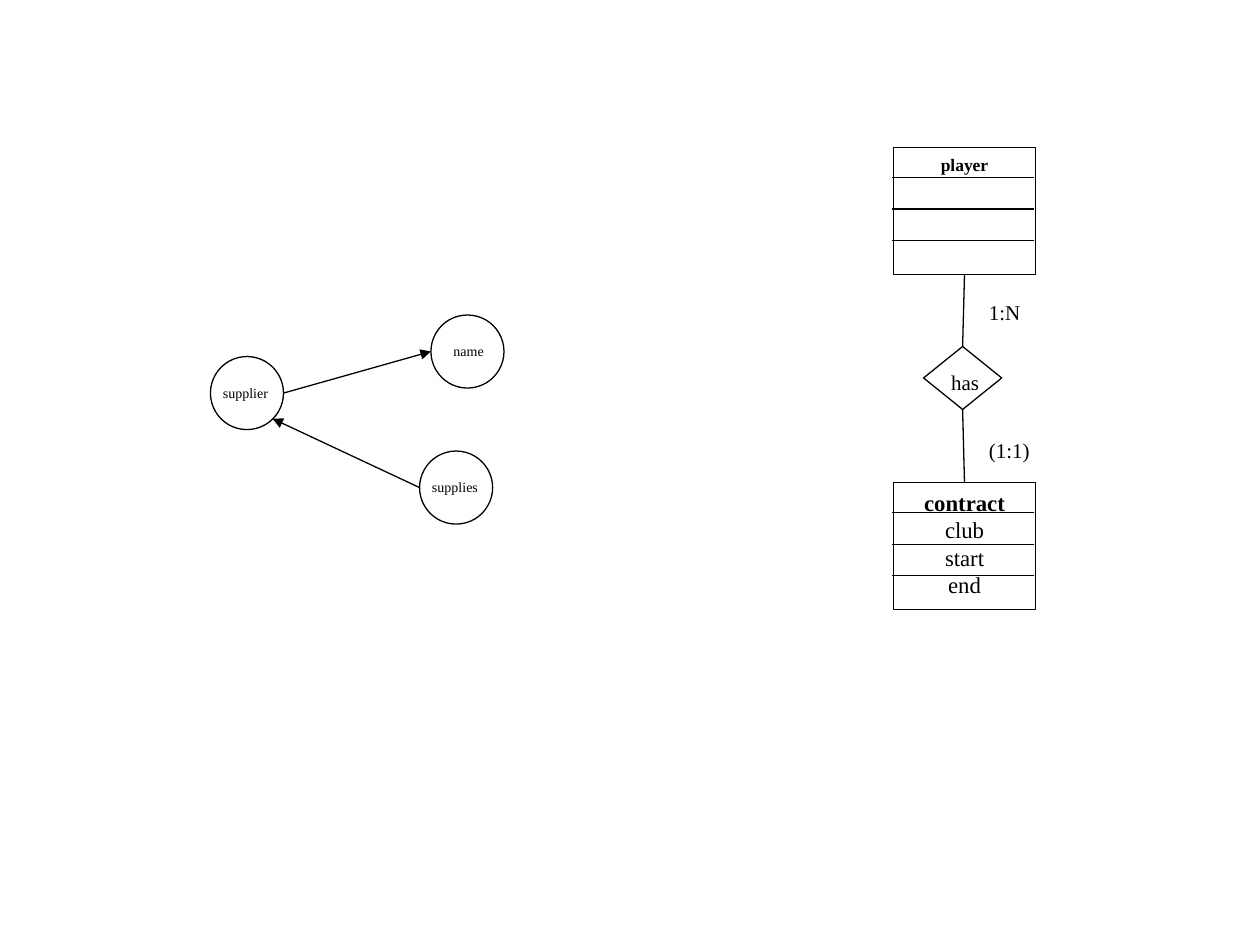
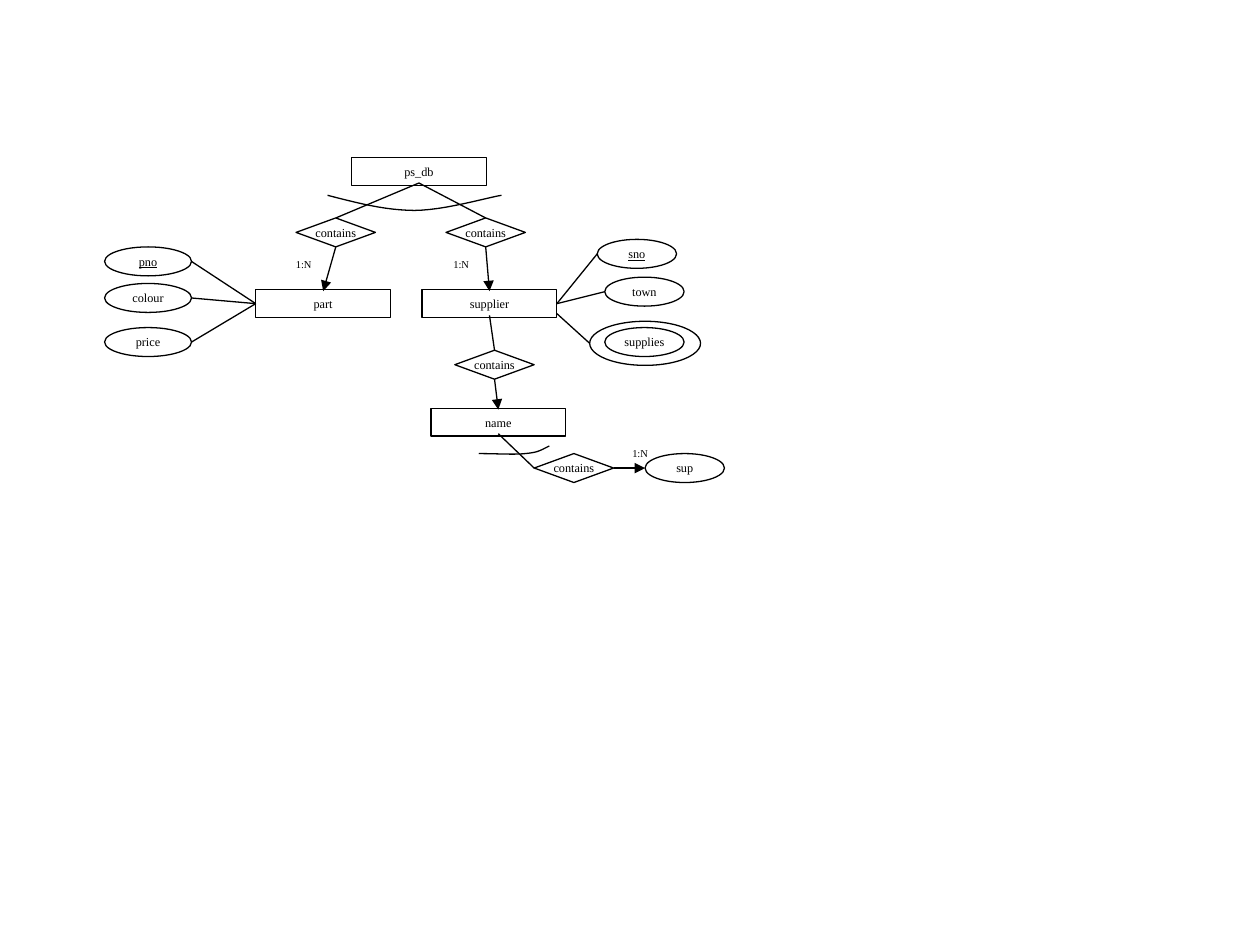
from pptx import Presentation
from pptx.dml.color import RGBColor
from pptx.enum import shapes, text
from pptx.oxml.ns import qn
from pptx.util import Inches, Pt
from lxml import etree

INK = "000000"
PAPER = "FFFFFF"
FONT = "Times New Roman"
RECT = shapes.MSO_SHAPE.RECTANGLE
OVAL = shapes.MSO_SHAPE.OVAL
DIAMOND = shapes.MSO_SHAPE.DIAMOND
DECISION = shapes.MSO_SHAPE.FLOWCHART_DECISION
CENTER = text.PP_ALIGN.CENTER
LEFT = text.PP_ALIGN.LEFT

TOP, BOTTOM = (0.5, 0), (0.5, 1)
WEST, EAST, SOUTH_EAST = (0, 0.5), (1, 0.5), (0.85, 0.85)
ENTITY_TOP, ENTITY_BOTTOM = (0.5, 0.05), (0.5, 0.92)


def color(value):
    return RGBColor.from_string(value)


def ink_line(line):
    line.color.rgb = color(INK)
    line.width = Pt(0.75)


def write(frame, content, size, align, wrap=True, anchor=text.MSO_ANCHOR.TOP):
    frame.text = content
    frame.word_wrap = wrap
    frame.vertical_anchor = anchor
    for paragraph in frame.paragraphs:
        paragraph.alignment = align
        paragraph.font.name = FONT
        paragraph.font.size = Pt(size)
        paragraph.font.color.rgb = color(INK)


def outline(slide, kind, left, top, width, height, fill=None):
    figure = slide.shapes.add_shape(
        kind, Inches(left), Inches(top), Inches(width), Inches(height))
    figure.shadow.inherit = False
    if fill:
        figure.fill.solid()
        figure.fill.fore_color.rgb = color(fill)
    else:
        figure.fill.background()
    ink_line(figure.line)
    return figure


def label(slide, content, left, top, width, height, size):
    box = slide.shapes.add_textbox(
        Inches(left), Inches(top), Inches(width), Inches(height))
    write(box.text_frame, content, size, LEFT)


def spot(figure, place):
    across, down = place
    return (round(figure.left + figure.width * across),
            round(figure.top + figure.height * down))


def link(slide, start, end, arrow=False):
    connector = slide.shapes.add_connector(
        shapes.MSO_CONNECTOR.STRAIGHT, *start, *end)
    ink_line(connector.line)
    properties = connector.line._get_or_add_ln()
    if arrow:
        etree.SubElement(properties, qn("a:tailEnd"), type="triangle")
    etree.SubElement(connector._element.spPr, qn("a:effectLst"))


def curve(slide, start, *segments, steps=12):
    points = []
    for first, second, end in segments:
        for step in range(1, steps + 1):
            t = step / steps
            weights = ((1 - t) ** 3, 3 * t * (1 - t) ** 2,
                       3 * t ** 2 * (1 - t), t ** 3)
            corners = (start, first, second, end)
            points.append(tuple(
                Inches(sum(w * c[axis] for w, c in zip(weights, corners)))
                for axis in (0, 1)))
        start = end
    origin = (points[0], segments)[0]
    return origin, points


def arc(slide, start, *segments):
    points = curve(slide, start, *segments)[1]
    builder = slide.shapes.build_freeform(Inches(start[0]), Inches(start[1]))
    builder.add_line_segments(points, close=False)
    stroke = builder.convert_to_shape()
    stroke.shadow.inherit = False
    stroke.fill.background()
    ink_line(stroke.line)


def record(slide, top, content, size):
    card = outline(slide, RECT, 7.09, top, 1.13, 1.01, PAPER)
    write(card.text_frame, content, size, CENTER)
    card.text_frame.paragraphs[0].font.bold = True
    for row in (1, 2, 3):
        rule = Inches(top + row * 0.25 - 0.01)
        link(slide, (Inches(7.08), rule), (Inches(8.21), rule))
    return card


def circle(slide, name, left, top, label_left):
    node = outline(slide, OVAL, left, top, 0.58, 0.58)
    label(slide, name, label_left, top + 0.17, 0.92, 0.24, 8)
    return node


def entity(slide, name, left, top):
    box = outline(slide, RECT, left, top, 1.07, 0.22)
    write(box.text_frame, name, 7, CENTER, anchor=text.MSO_ANCHOR.MIDDLE)
    return box


def node(slide, kind, name, left, top, width=0.63, key=False):
    figure = outline(slide, kind, left, top, width, 0.23)
    write(figure.text_frame, name, 7, CENTER, False, text.MSO_ANCHOR.MIDDLE)
    if key:
        figure.text_frame.paragraphs[0].runs[0].font.underline = True
    return figure


def contract_slide(slide):
    player = record(slide, 1.17, "player", 10)
    has = outline(slide, DIAMOND, 7.33, 2.75, 0.62, 0.5, PAPER)
    contract = record(slide, 3.83, "contract\nclub\nstart\nend", 13)
    link(slide, spot(player, BOTTOM), spot(has, TOP))
    link(slide, spot(has, BOTTOM), spot(contract, TOP))
    label(slide, "has", 7.45, 2.88, 0.5, 0.25, 12)
    label(slide, "1:N", 7.75, 2.33, 0.5, 0.25, 12)
    label(slide, "(1:1)", 7.75, 3.42, 0.58, 0.25, 12)

    supplier = circle(slide, "supplier", 1.67, 2.83, 1.67)
    name = circle(slide, "name", 3.42, 2.5, 3.5)
    supplies = circle(slide, "supplies", 3.33, 3.58, 3.33)
    link(slide, spot(supplier, EAST), spot(name, WEST), True)
    link(slide, spot(supplies, WEST), spot(supplier, SOUTH_EAST), True)


def database_slide(slide):
    database = entity(slide, "ps_db", 2.79, 1.25)
    part = entity(slide, "part", 2.03, 2.3)
    supplier = entity(slide, "supplier", 3.35, 2.3)
    name = entity(slide, "name", 3.42, 3.24)

    has_part, has_supplier, has_name, has_sup = [
        node(slide, DECISION, "contains", left, top)
        for left, top in ((2.35, 1.73), (3.54, 1.73), (3.61, 2.78), (4.24, 3.6))]
    sup = node(slide, OVAL, "sup", 5.12, 3.6)

    for parent, relation, child in (
            (database, has_part, part),
            (database, has_supplier, supplier),
            (supplier, has_name, name)):
        link(slide, spot(parent, ENTITY_BOTTOM), spot(relation, TOP))
        link(slide, spot(relation, BOTTOM), spot(child, ENTITY_TOP), True)
    link(slide, spot(name, ENTITY_BOTTOM), spot(has_sup, WEST))
    link(slide, spot(has_sup, EAST), spot(sup, WEST), True)

    for attribute, top in (("pno", 1.96), ("colour", 2.25), ("price", 2.6)):
        oval = node(slide, OVAL, attribute, 0.83, top, 0.69, attribute == "pno")
        link(slide, spot(part, WEST), spot(oval, EAST))

    sno = node(slide, OVAL, "sno", 4.74, 1.9, key=True)
    town = node(slide, OVAL, "town", 4.8, 2.2)
    node(slide, OVAL, "supplies", 4.8, 2.6)
    supplies_ring = outline(slide, OVAL, 4.68, 2.55, 0.88, 0.35)
    for oval, place in ((sno, EAST), (town, EAST), (supplies_ring, (1, 0.86))):
        link(slide, spot(oval, WEST), spot(supplier, place))

    arc(slide, (2.6, 1.55),
        ((2.83, 1.61), (3.06, 1.67), (3.29, 1.67)),
        ((3.52, 1.67), (3.86, 1.57), (3.98, 1.55)))
    arc(slide, (3.8, 3.6),
        ((3.94, 3.6), (4.08, 3.61), (4.17, 3.6)),
        ((4.27, 3.59), (4.28, 3.58), (4.36, 3.54)))

    for left, top in ((4.92, 3.5), (2.25, 2), (3.5, 2)):
        label(slide, "1:N", left, top, 0.33, 0.2, 6)


def main():
    deck = Presentation()
    deck.slide_width, deck.slide_height = Inches(10), Inches(7.5)
    blank = deck.slide_layouts[6]
    for draw in (contract_slide, database_slide):
        draw(deck.slides.add_slide(blank))
    deck.save("out.pptx")


if __name__ == "__main__":
    main()
